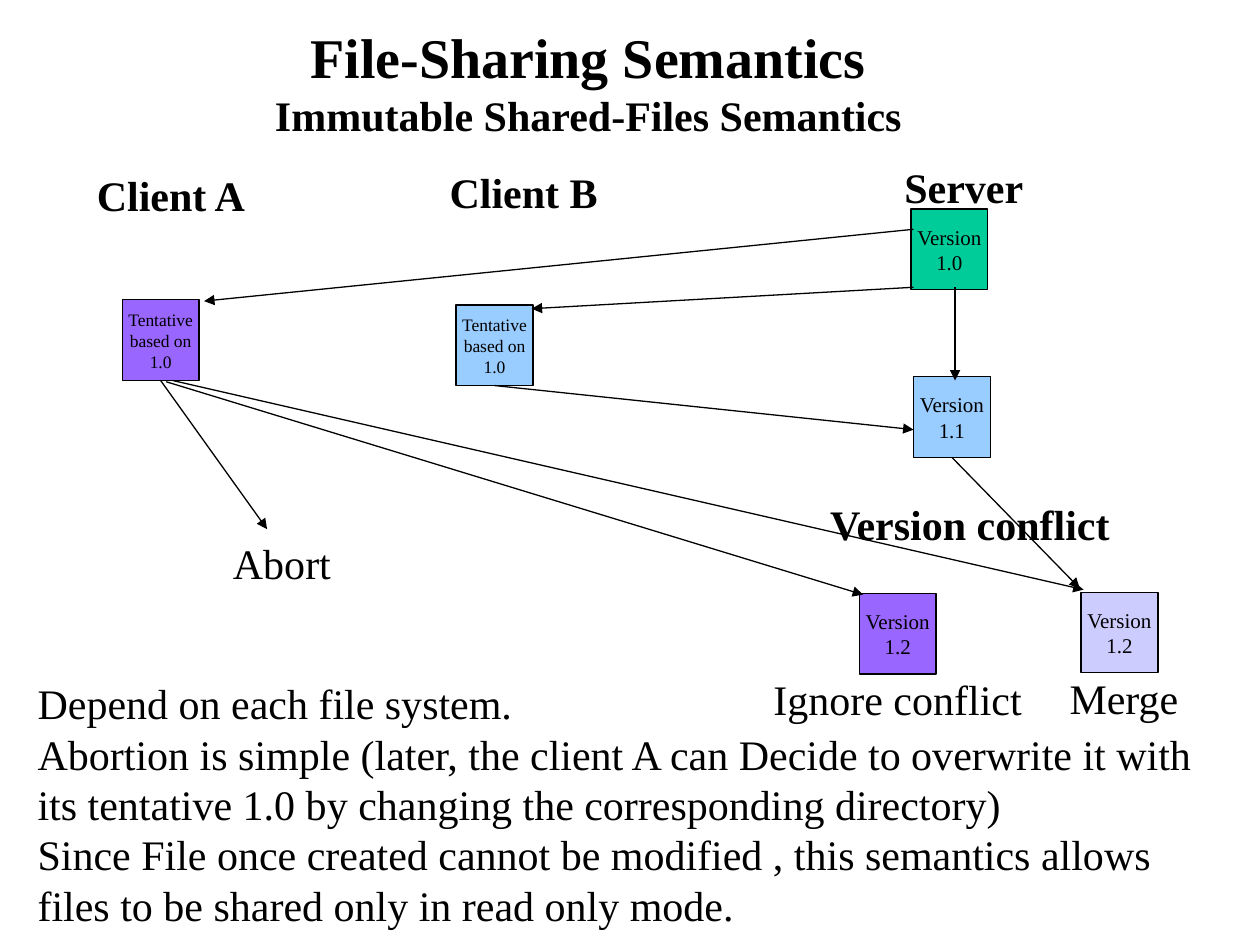
from dataclasses import dataclass

from lxml.etree import SubElement
from pptx import Presentation
from pptx.dml.color import RGBColor
from pptx.enum.shapes import MSO_CONNECTOR, MSO_SHAPE
from pptx.enum.text import MSO_ANCHOR, MSO_AUTO_SIZE, PP_ALIGN
from pptx.oxml.ns import qn
from pptx.util import Inches, Pt


@dataclass(frozen=True)
class Theme:
    """Colours, type and line sizes of the slide."""
    font: str = "Times New Roman"
    ink: str = "000000"
    server: str = "00CC99"
    client_a: str = "9966FF"
    client_b: str = "99CCFF"
    merged: str = "CCCCFF"
    title: int = 32
    body: int = 24
    version: int = 12
    tentative: int = 10
    line: float = 0.75


THEME = Theme()
COLUMNS, ROWS = 100, 75
WIDTH, HEIGHT = Inches(10), Inches(7.5)
FILE_COLUMNS, FILE_ROWS = 6.1, 6.4
BOTTOM = 2


def across(columns):
    """Return the length of a number of grid columns."""
    return round(WIDTH * columns / COLUMNS)


def down(rows):
    """Return the length of a number of grid rows."""
    return round(HEIGHT * rows / ROWS)


def color(code):
    """Return a colour from its hex code."""
    return RGBColor.from_string(code)


def add_run(paragraph, words, size, bold=False):
    """Add one run in the slide's font."""
    run = paragraph.add_run()
    run.text = words
    run.font.name = THEME.font
    run.font.size = Pt(size)
    run.font.bold = bold
    run.font.color.rgb = color(THEME.ink)


def add_paragraphs(frame, lines, size, align, bold=False):
    """Fill a text frame with one paragraph for each line."""
    for index, words in enumerate(lines):
        paragraph = frame.add_paragraph() if index else frame.paragraphs[0]
        paragraph.alignment = align
        add_run(paragraph, words, size, bold)


def add_title(slide, heading, subheading):
    """Add the two-line centred title."""
    title = slide.shapes.add_textbox(across(4.1), down(1.3), across(85.2), down(12.5))
    title.text_frame.word_wrap = True
    paragraph = title.text_frame.paragraphs[0]
    paragraph.alignment = PP_ALIGN.CENTER
    add_run(paragraph, heading, THEME.title, True)
    paragraph.add_line_break()
    add_run(paragraph, subheading, THEME.body, True)


def add_text(slide, column, row, columns, rows, lines, bold=False, wrap=False):
    """Add left-aligned text in body size."""
    box = slide.shapes.add_textbox(across(column), down(row), across(columns), down(rows))
    box.text_frame.word_wrap = wrap
    box.text_frame.auto_size = MSO_AUTO_SIZE.SHAPE_TO_FIT_TEXT
    add_paragraphs(box.text_frame, lines, THEME.body, PP_ALIGN.LEFT, bold)


def add_file(slide, column, row, fill, lines, size=THEME.version):
    """Add a box for one state of the file."""
    box = slide.shapes.add_shape(
        MSO_SHAPE.RECTANGLE, across(column), down(row), across(FILE_COLUMNS), down(FILE_ROWS))
    box.shadow.inherit = False
    box.fill.solid()
    box.fill.fore_color.rgb = color(fill)
    box.line.color.rgb = color(THEME.ink)
    box.line.width = Pt(THEME.line)
    box.text_frame.word_wrap = False
    box.text_frame.vertical_anchor = MSO_ANCHOR.MIDDLE
    add_paragraphs(box.text_frame, lines, size, PP_ALIGN.CENTER)
    return box


def add_arrow(slide, start, end, source=None):
    """Add an arrow, joined to the bottom of its source if given."""
    arrow = slide.shapes.add_connector(
        MSO_CONNECTOR.STRAIGHT, across(start[0]), down(start[1]), across(end[0]), down(end[1]))
    if source is not None:
        arrow.begin_connect(source, BOTTOM)
    arrow.line.color.rgb = color(THEME.ink)
    arrow.line.width = Pt(THEME.line)
    SubElement(arrow.line._get_or_add_ln(), qn("a:tailEnd"), type="triangle")
    SubElement(arrow._element.spPr, qn("a:effectLst"))


def add_history(slide):
    """Add the file versions and the arrows between them."""
    tentative = ["Tentative", "based on", "1.0"]
    add_file(slide, 72.3, 16.6, THEME.server, ["Version", "1.0"])
    tentative_b = add_file(slide, 36.2, 24.2, THEME.client_b, tentative, THEME.tentative)
    tentative_a = add_file(slide, 9.7, 23.8, THEME.client_a, tentative, THEME.tentative)
    updated = add_file(slide, 72.5, 29.9, THEME.client_b, ["Version", "1.1"])
    add_file(slide, 68.2, 47.1, THEME.client_a, ["Version", "1.2"])
    add_file(slide, 85.8, 47, THEME.merged, ["Version", "1.2"])

    add_arrow(slide, (72.5, 22.8), (42.2, 24.5))
    add_arrow(slide, (72.5, 18.2), (16.2, 23.9))
    add_arrow(slide, (39.6, 30.7), (72.5, 34.1), tentative_b)
    add_arrow(slide, (75.8, 22.8), (75.8, 30.2))
    add_arrow(slide, (13.2, 30.3), (68.5, 47.2))
    add_arrow(slide, (13.7, 30.2), (86, 46.8))
    add_arrow(slide, (75.7, 36.1), (85.7, 46.7), updated)
    add_arrow(slide, (12.5, 30.2), (21.2, 42), tentative_a)


def add_labels(slide):
    """Add the party names and the outcomes of the conflict."""
    labels = [
        ("Client A", 6.7, 13, 14.2, True),
        ("Client B", 34.7, 12.7, 14.2, True),
        ("Server", 70.8, 12.3, 12, True),
        ("Version conflict", 64.9, 39.1, 24.8, True),
        ("Abort", 17.5, 42.2, 10.2, False),
        ("Ignore conflict", 60.4, 53, 22, False),
        ("Merge", 83.9, 52.9, 11, False),
    ]
    for words, column, row, columns, bold in labels:
        add_text(slide, column, row, columns, 5, [words], bold)


def main():
    """Build and save the slide."""
    deck = Presentation()
    deck.slide_width, deck.slide_height = WIDTH, HEIGHT
    slide = deck.slides.add_slide(deck.slide_layouts[6])
    add_title(slide, "File-Sharing Semantics", "Immutable Shared-Files Semantics")
    add_history(slide)
    add_labels(slide)
    add_text(slide, 2, 53.3, 95.9, 21, [
        "Depend on each file system.",
        "Abortion is simple (later, the client A can Decide to overwrite it with "
        "its tentative 1.0 by changing the corresponding directory)",
        "Since File once created cannot be modified , this semantics allows "
        "files to be shared only in read only mode.",
    ], wrap=True)
    deck.save("out.pptx")


if __name__ == "__main__":
    main()
